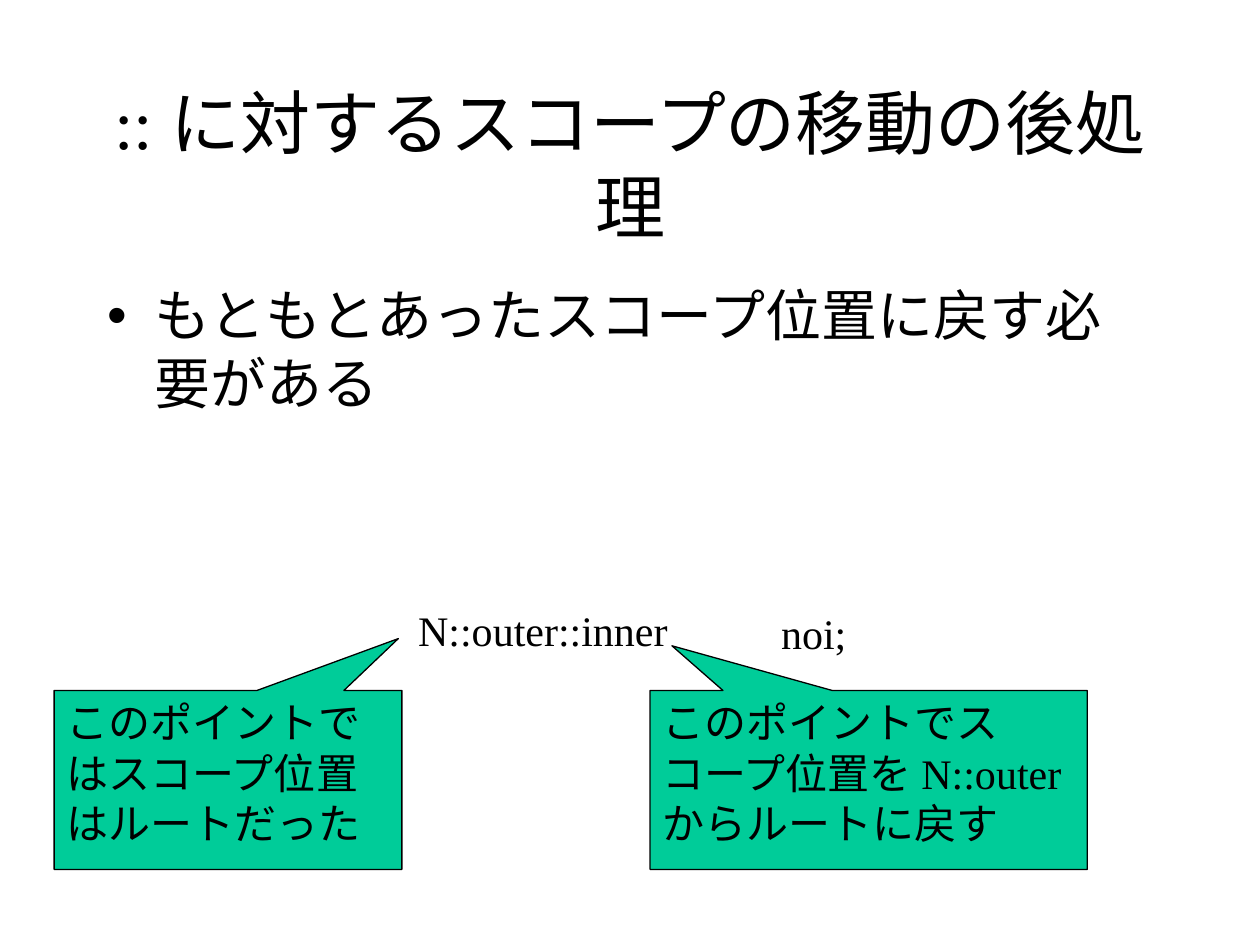
"""Build a slide on restoring the scope position after resolving the :: operator."""
import pptx
import pptx.dml.color
import pptx.enum.shapes
import pptx.enum.text
import pptx.util
from dataclasses import dataclass

Inches = pptx.util.Inches
Pt = pptx.util.Pt
RGB = pptx.dml.color.RGBColor
Anchor = pptx.enum.text.MSO_ANCHOR
Align = pptx.enum.text.PP_ALIGN
AutoSize = pptx.enum.text.MSO_AUTO_SIZE


@dataclass(frozen=True)
class Theme:
    font: str = "Times New Roman"
    ink: RGB = RGB(0, 0, 0)
    callout: RGB = RGB(0x00, 0xCC, 0x99)
    title: int = 40
    body: int = 32
    label: int = 24


theme = Theme()


def place(sp, left, top, width, height):
    sp.left, sp.top = Inches(left), Inches(top)
    sp.width, sp.height = Inches(width), Inches(height)


def write(sp, text, size, align=Align.LEFT, anchor=Anchor.TOP, wrap=True):
    tf = sp.text_frame
    tf.word_wrap = wrap
    tf.auto_size = AutoSize.NONE if wrap else AutoSize.SHAPE_TO_FIT_TEXT
    tf.vertical_anchor = anchor
    p = tf.paragraphs[0]
    p.alignment = align
    r = p.add_run()
    r.text = text
    r.font.name = theme.font
    r.font.size = Pt(size)
    r.font.color.rgb = theme.ink
    return p


prs = pptx.Presentation()
prs.slide_width, prs.slide_height = Inches(10), Inches(7.5)
s = prs.slides.add_slide(prs.slide_layouts[1])

title = s.shapes.title
place(title, 0.75, 0.67, 8.5, 1.25)
write(title, ":: に対するスコープの移動の後処理", theme.title, Align.CENTER, Anchor.MIDDLE)

body = s.placeholders[1]
place(body, 0.75, 2.18, 8.5, 1.34)
p = write(body, "もともとあったスコープ位置に戻す必要がある", theme.body)
p.space_before = Pt(8)

for text, left, top, width in [
    ("N::outer::inner", 3.22, 4.75, 2.18),
    ("noi;", 6.1, 4.77, 0.72),
]:
    sp = s.shapes.add_textbox(Inches(left), Inches(top), Inches(width), Inches(0.5))
    write(sp, text, theme.label, wrap=False)

for text, left, width, tip in [
    ("このポイントではスコープ位置はルートだった", 0.43, 2.76, (0.49, -0.79)),
    ("このポイントでスコープ位置を N::outer からルートに戻す", 5.16, 3.47, (-0.45, -0.75)),
]:
    sp = s.shapes.add_shape(
        pptx.enum.shapes.MSO_SHAPE.RECTANGULAR_CALLOUT,
        Inches(left), Inches(5.48), Inches(width), Inches(1.42))
    sp.adjustments[0], sp.adjustments[1] = tip
    sp.shadow.inherit = False
    sp.fill.solid()
    sp.fill.fore_color.rgb = theme.callout
    sp.line.color.rgb = theme.ink
    sp.line.width = Pt(0.75)
    write(sp, text, theme.label)

prs.save("out.pptx")
